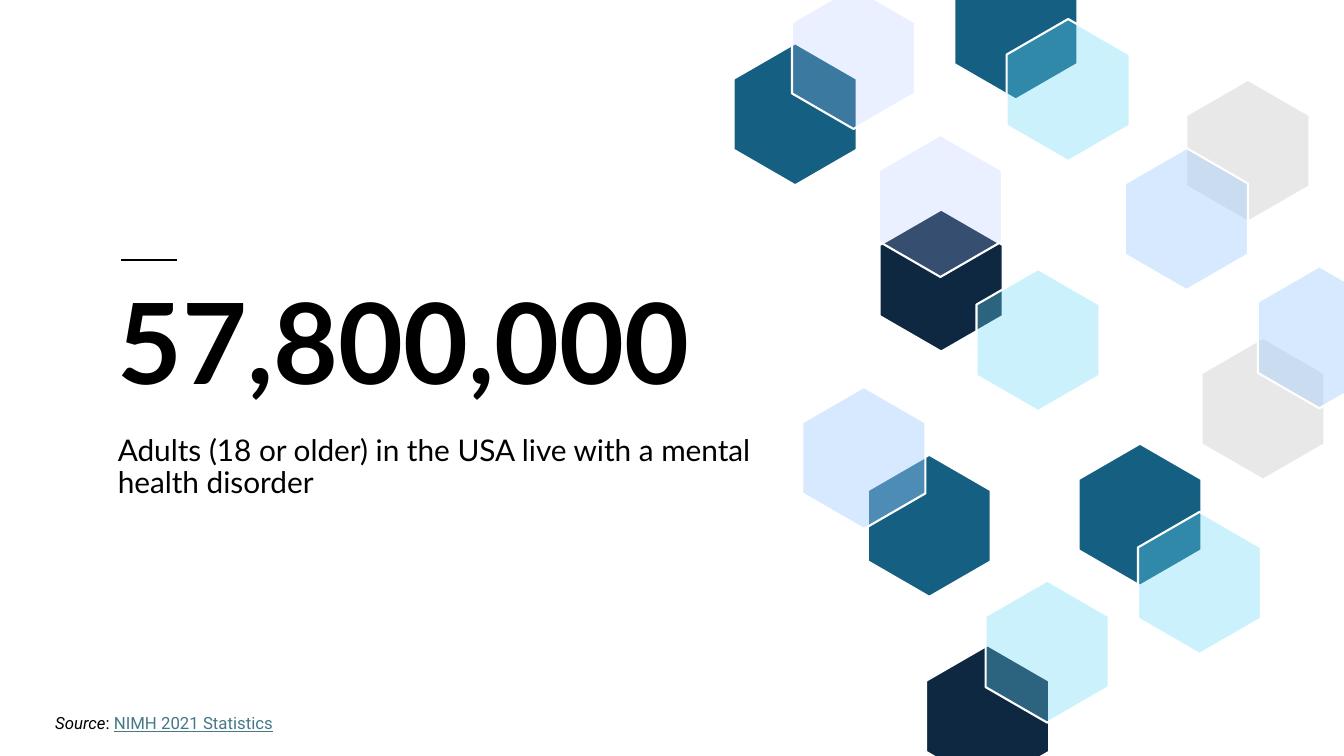
from pptx import Presentation
from pptx.dml.color import RGBColor
from pptx.enum.shapes import MSO_CONNECTOR
from pptx.enum.text import MSO_ANCHOR
from pptx.oxml.ns import qn
from pptx.util import Cm, Pt
from lxml import etree

STRAIGHT = MSO_CONNECTOR.STRAIGHT
TOP, BOTTOM = MSO_ANCHOR.TOP, MSO_ANCHOR.BOTTOM

COLORS = {
    "black": "000000",
    "white": "FFFFFF",
    "link": "467886",
    "teal": "156082",
    "navy": "0E2841",
    "gray": "E8E8E8",
    "sky": "9FCBFD",
    "lavender": "AFC7FF",
    "cyan": "68DAF8",
}
OPACITY = {"sky": 41, "lavender": 25, "cyan": 34}  # percent
HEX_WIDTH, HEX_HEIGHT = 3.1, 3.58


def add_text_box(left, top, width, height, inset=None, anchor=TOP):
    box = slide.shapes.add_textbox(Cm(left), Cm(top), Cm(width), Cm(height))
    frame = box.text_frame
    frame.word_wrap = True
    frame.vertical_anchor = anchor
    if inset is not None:
        frame.margin_left = frame.margin_right = Cm(inset)
        frame.margin_top = frame.margin_bottom = Cm(inset)
    return frame.paragraphs[0]


def add_run(paragraph, text, font, size, color="black"):
    run = paragraph.add_run()
    run.text = text
    run.font.name = font
    run.font.size = Pt(size)
    run.font.color.rgb = RGBColor.from_string(COLORS[color])
    return run


prs = Presentation()
prs.slide_width, prs.slide_height = Cm(33.87), Cm(19.05)
slide = prs.slides.add_slide(prs.slide_layouts[6])

# Headline figure and its explanation
headline = add_text_box(2.64, 6.58, 17.32, 4.06, inset=0.33, anchor=BOTTOM)
headline.line_spacing = 0.9
add_run(headline, "57,800,000", "Lato", 80).font.bold = True

explanation = add_text_box(2.64, 10.64, 17.32, 1.83, inset=0.33)
explanation.line_spacing = 0.9
add_run(explanation, "Adults (18 or older) in the USA live with a mental health disorder",
        "Lato", 21.3)

# Hexagons from back to front: left, top, colour
hexagons = [
    (18.49, 1.09, "teal"),
    (29.9, 2.01, "gray"),
    (28.35, 3.73, "sky"),
    (22.17, 5.28, "navy"),
    (22.15, 3.4, "lavender"),
    (24.05, -1.07, "teal"),
    (25.37, 0.48, "cyan"),
    (21.87, 11.46, "teal"),
    (23.34, 16.26, "navy"),
    (19.96, -0.33, "lavender"),
    (24.84, 14.63, "cyan"),
    (30.28, 8.51, "gray"),
    (31.7, 6.71, "sky"),
    (27.18, 11.18, "teal"),
    (28.68, 12.9, "cyan"),
    (20.22, 9.75, "sky"),
    (24.61, 6.78, "cyan"),
]
# Corners as fractions of the width and height, clockwise from the top
corners = [(0.5, 0), (1, 0.25), (1, 0.75), (0.5, 1), (0, 0.75), (0, 0.25)]

for left, top, color in hexagons:
    points = [(Cm(left + x * HEX_WIDTH), Cm(top + y * HEX_HEIGHT)) for x, y in corners]
    outline = slide.shapes.build_freeform(*points[0])
    outline.add_line_segments(points[1:], close=True)
    hexagon = outline.convert_to_shape()
    hexagon.shadow.inherit = False
    hexagon.fill.solid()
    hexagon.fill.fore_color.rgb = RGBColor.from_string(COLORS[color])
    hexagon.line.color.rgb = RGBColor.from_string(COLORS["white"])
    hexagon.line.width = Pt(1.5)
    if color in OPACITY:
        fill_color = hexagon.element.spPr.find(qn("a:solidFill"))[0]
        etree.SubElement(fill_color, qn("a:alpha"), val=str(OPACITY[color] * 1000))

# Short rule above the headline
rule = slide.shapes.add_connector(STRAIGHT, Cm(3.05), Cm(6.55), Cm(4.45), Cm(6.55))
rule.line.color.rgb = RGBColor.from_string(COLORS["black"])
rule.line.width = Pt(1.5)
etree.SubElement(rule.element.spPr, qn("a:effectLst"))

# Source line
source = add_text_box(1.14, 17.83, 12.57, 0.76)
add_run(source, "Source", "Roboto", 12).font.italic = True
add_run(source, ": ", "Roboto", 12)
add_run(source, "NIMH 2021 Statistics", "Roboto", 12, "link").font.underline = True

prs.save("out.pptx")
